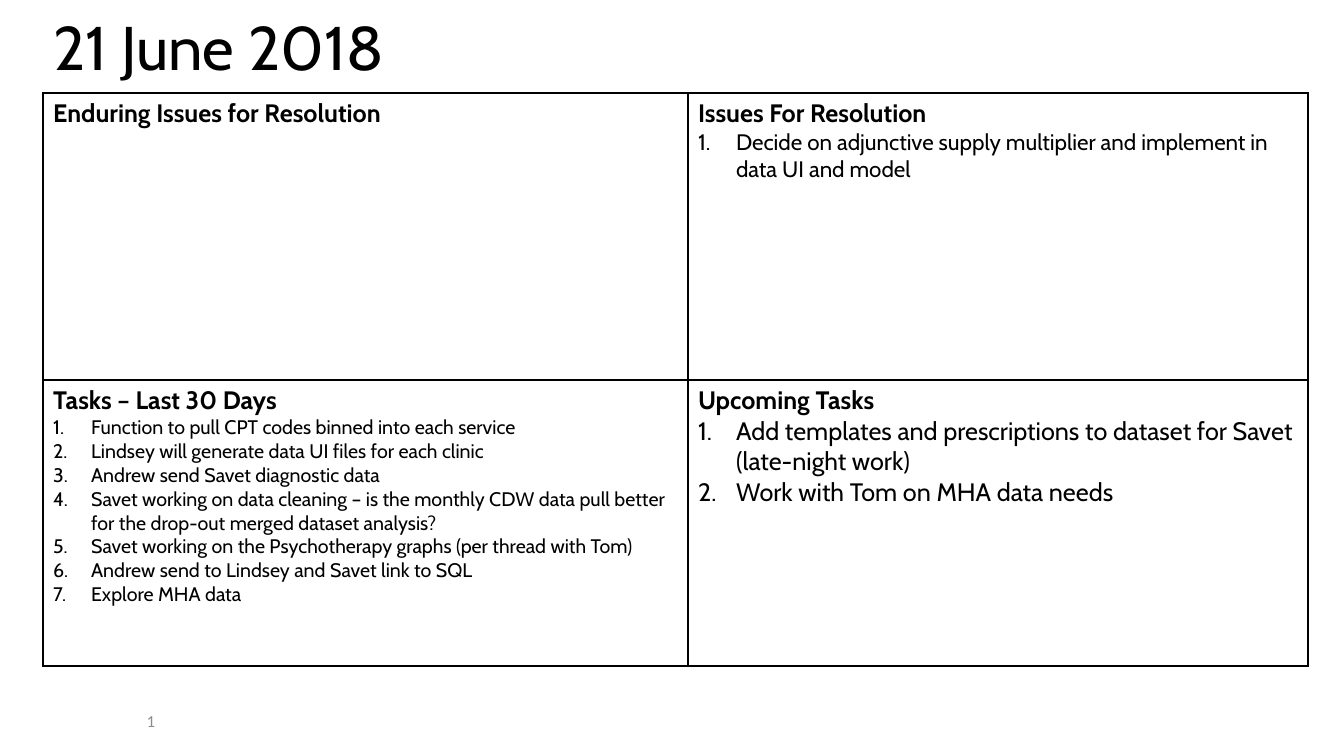
"""Build a one-slide status board: a dated title over a two-by-two task table."""
from dataclasses import dataclass
from typing import Any

from lxml.etree import SubElement
from pptx import Presentation
from pptx.dml.color import RGBColor
from pptx.enum.text import MSO_ANCHOR as Anchor, PP_ALIGN as Align
from pptx.oxml.ns import qn
from pptx.util import Emu, Pt

SCALE = 914400 / 100.8


@dataclass(frozen=True)
class Theme:
    """Colours, fonts and type sizes of the slide."""
    ink: str = "000000"
    paper: str = "FFFFFF"
    muted: str = "8C8C8C"
    font: str = "Cabin"
    number_font: str = "Calibri"
    title: int = 44
    heading: int = 18
    number: int = 12
    border: int = 1


@dataclass(frozen=True)
class Quadrant:
    """One table cell: a heading and a numbered list."""
    row: int
    col: int
    heading: str
    size: int = 16
    items: tuple[str, ...] = ()


THEME = Theme()
COLS, ROWS = (645, 620), (287, 286)
INDENT = 38
QUADRANTS = (
    Quadrant(0, 0, "Enduring Issues for Resolution"),
    Quadrant(0, 1, "Issues For Resolution", 16, (
        "Decide on adjunctive supply multiplier and implement in data UI and model",
    )),
    Quadrant(1, 0, "Tasks – Last 30 Days", 14, (
        "Function to pull CPT codes binned into each service",
        "Lindsey will generate data UI files for each clinic",
        "Andrew send Savet diagnostic data",
        "Savet working on data cleaning – is the monthly CDW data pull better "
        "for the drop-out merged dataset analysis?",
        "Savet working on the Psychotherapy graphs (per thread with Tom)",
        "Andrew send to Lindsey and Savet link to SQL",
        "Explore MHA data",
    )),
    Quadrant(1, 1, "Upcoming Tasks", 18, (
        "Add templates and prescriptions to dataset for Savet (late-night work)",
        "Work with Tom on MHA data needs",
    )),
)


def px(n: int) -> Emu:
    """Turn whole pixels into EMU."""
    return Emu(round(n * SCALE))


def apply(obj: Any, **values: Any) -> None:
    """Set each named value as an attribute of the object."""
    for name, value in values.items():
        setattr(obj, name, value)


def style(font: Any, size: int, color: str = THEME.ink, name: str = THEME.font,
          bold: bool = False) -> None:
    """Format a font."""
    apply(font, size=Pt(size), name=name, bold=bold)
    font.color.rgb = RGBColor.from_string(color)


def number(p: Any) -> None:
    """Make a paragraph an automatically numbered item with a hanging indent."""
    ppr = p._p.get_or_add_pPr()
    ppr.set("marL", str(px(INDENT)))
    ppr.set("indent", str(-px(INDENT)))
    SubElement(ppr, qn("a:buFont"), typeface="+mj-lt")
    SubElement(ppr, qn("a:buAutoNum"), type="arabicPeriod")


def border(cell: Any) -> None:
    """Rule all four sides of a cell."""
    tcpr = cell._tc.get_or_add_tcPr()
    for side in ("lnL", "lnR", "lnT", "lnB"):
        ln = SubElement(tcpr, qn(f"a:{side}"), w=str(Pt(THEME.border)))
        fill = SubElement(ln, qn("a:solidFill"))
        SubElement(fill, qn("a:srgbClr"), val=THEME.ink)


def fill_quadrant(cell: Any, quadrant: Quadrant) -> None:
    """Draw one quadrant in its table cell."""
    border(cell)
    cell.fill.solid()
    cell.fill.fore_color.rgb = RGBColor.from_string(THEME.paper)
    tf = cell.text_frame
    r = tf.paragraphs[0].add_run()
    r.text = quadrant.heading
    style(r.font, THEME.heading, bold=True)
    for item in quadrant.items:
        p = tf.add_paragraph()
        number(p)
        r = p.add_run()
        r.text = item
        style(r.font, quadrant.size)


def add_title(slide: Any, text: str) -> None:
    """Place and format the title placeholder."""
    sp = slide.shapes.title
    apply(sp, left=px(43), top=px(10), width=px(sum(COLS)), height=px(81))
    tf = sp.text_frame
    apply(tf, vertical_anchor=Anchor.MIDDLE, word_wrap=True)
    p = tf.paragraphs[0]
    apply(p, alignment=Align.LEFT, line_spacing=0.9)
    r = p.add_run()
    r.text = text
    style(r.font, THEME.title)


def add_board(slide: Any) -> None:
    """Add the table of quadrants."""
    frame = slide.shapes.add_table(len(ROWS), len(COLS), px(43), px(93),
                                   px(sum(COLS)), px(sum(ROWS)))
    table = frame.table
    apply(table, first_row=False, horz_banding=False)
    for col, width in zip(table.columns, COLS):
        col.width = px(width)
    for row, height in zip(table.rows, ROWS):
        row.height = px(height)
    for quadrant in QUADRANTS:
        fill_quadrant(table.cell(quadrant.row, quadrant.col), quadrant)


def add_page_number(slide: Any, text: str) -> None:
    """Add the page number at the foot."""
    sp = slide.shapes.add_textbox(px(0), px(701), px(302), px(40))
    tf = sp.text_frame
    apply(tf, vertical_anchor=Anchor.MIDDLE, word_wrap=True)
    p = tf.paragraphs[0]
    p.alignment = Align.CENTER
    r = p.add_run()
    r.text = text
    style(r.font, THEME.number, THEME.muted, THEME.number_font)


def main() -> None:
    """Build and save the slide."""
    prs = Presentation()
    apply(prs, slide_width=px(1344), slide_height=px(756))
    slide = prs.slides.add_slide(prs.slide_layouts[5])
    add_title(slide, "21 June 2018")
    add_board(slide)
    add_page_number(slide, "1")
    prs.save("out.pptx")


main()
